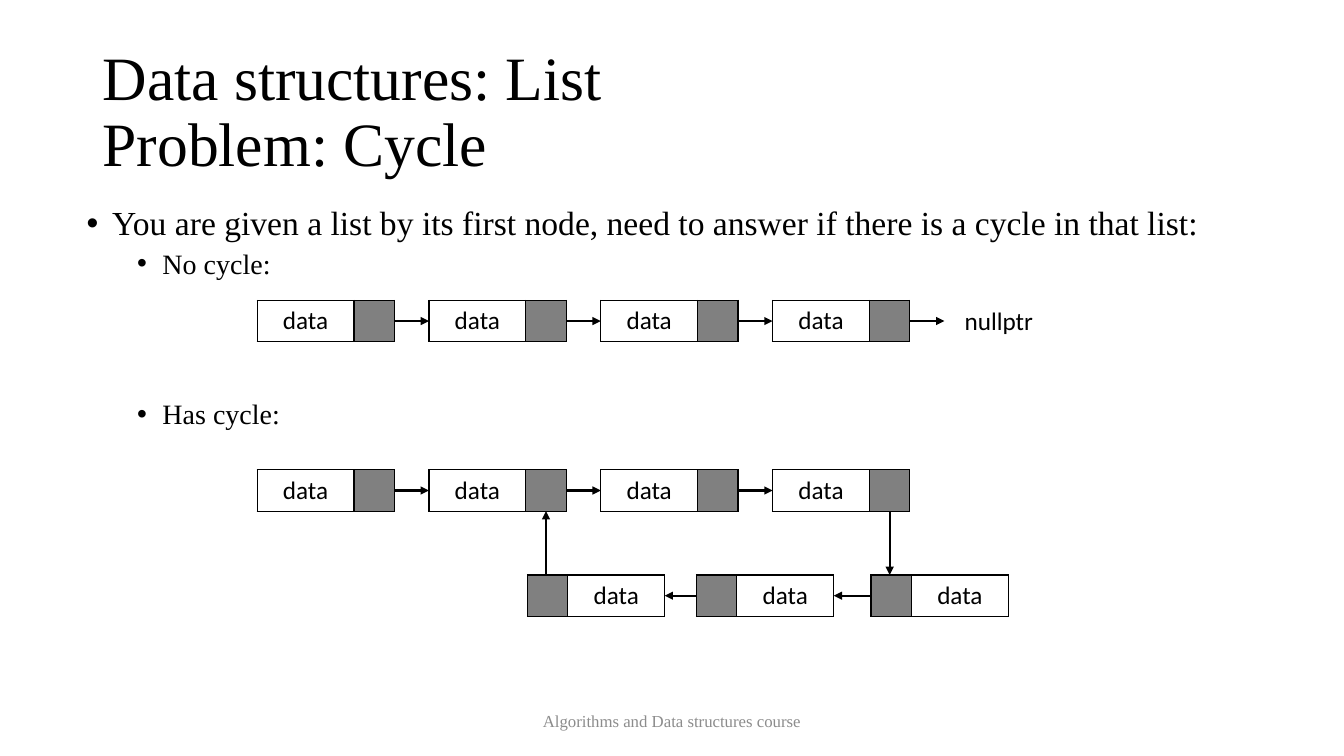
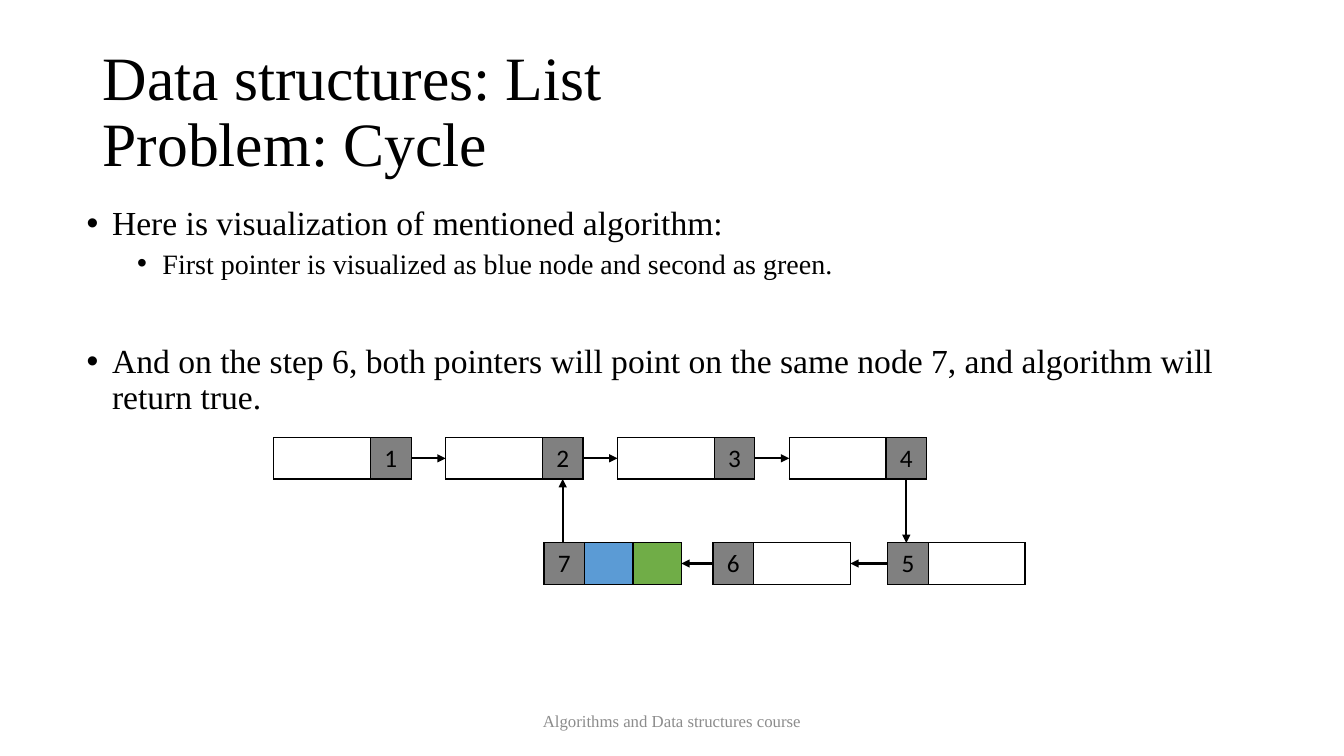
from pptx import Presentation
from pptx import util as u
from pptx.dml.color import RGBColor
from pptx.enum import shapes, text
from pptx.oxml.ns import qn
from lxml import etree

BLACK, WHITE, GRAY, FOOTER_GRAY = "000000", "FFFFFF", "808080", "8C8C8C"
BLUE, GREEN = "5B9BD5", "70AD47"
SERIF, SANS = "Times New Roman", "Calibri"

TITLE = "Data structures: List\vProblem: Cycle"
FOOTER = "Algorithms and Data structures course"
TITLE_BOX = (2.33, 1.02, 29.21, 3.68)
BODY_BOX = (1.93, 5.08, 29.62, 12.09)
FOOTER_BOX = (11.22, 17.66, 11.43, 1.01)
LEVELS = [(24, 0.64), (20, 1.91)]
BULLET_HANG = 0.64

DATA_W, POINTER_W, NODE_H = 2.44, 1.02, 1.04
NODE_W = DATA_W + POINTER_W
NODE_PITCH = 4.33
LOOP_OFFSETS = [15.47, 11.07, 6.81]
LOOP_DROP = 2.65
LOOP_TARGET = 1

DATA = ("data", WHITE, DATA_W)
EMPTY = ("", WHITE, DATA_W)
POINTER = ("", GRAY, POINTER_W)
NUMBERS = [(str(n), GRAY, POINTER_W) for n in range(1, 8)]
MEETING = [NUMBERS[6], ("", BLUE, DATA_W / 2), ("", GREEN, DATA_W / 2)]

SLIDES = [
    {
        "body": [
            (0, 0, "You are given a list by its first node, need to answer if there is a cycle in that list:"),
            (1, 5, "No cycle:"),
            (1, 86, "Has cycle:"),
        ],
        "lists": [
            {"at": (6.48, 7.57), "head": [[DATA, POINTER]] * 4, "loop": [], "end": "nullptr"},
            {"at": (6.48, 11.84), "head": [[DATA, POINTER]] * 4, "loop": [[POINTER, DATA]] * 3},
        ],
    },
    {
        "body": [
            (0, 0, "Here is visualization of mentioned algorithm:"),
            (1, 5, "First pointer is visualized as blue node and second as green."),
            (0, 46, "And on the step 6, both pointers will point on the same node 7, and algorithm will return true."),
        ],
        "lists": [
            {
                "at": (6.9, 11.03),
                "head": [[EMPTY, number] for number in NUMBERS[:4]],
                "loop": [[number, EMPTY] for number in NUMBERS[4:6]] + [MEETING],
            },
        ],
    },
]


def colour(value):
    return RGBColor.from_string(value)


def cm(*lengths):
    return [u.Cm(length) for length in lengths]


def place(part, box):
    part.left, part.top, part.width, part.height = cm(*box)


def style(paragraph, size, face, ink=BLACK):
    paragraph.font.size = u.Pt(size)
    paragraph.font.name = face
    paragraph.font.color.rgb = colour(ink)


def add_bullet(paragraph, indent):
    props = paragraph._p.get_or_add_pPr()
    props.set("marL", str(u.Cm(indent)))
    props.set("indent", str(-u.Cm(BULLET_HANG)))
    etree.SubElement(props, qn("a:buFont")).set("typeface", "Arial")
    etree.SubElement(props, qn("a:buChar")).set("char", "•")


def add_arrow(slide, start, end):
    arrow = slide.shapes.add_connector(shapes.MSO_CONNECTOR.STRAIGHT, *cm(*start, *end))
    arrow.line.color.rgb = colour(BLACK)
    arrow.line.width = u.Pt(1.5)
    etree.SubElement(arrow.line._get_or_add_ln(), qn("a:tailEnd")).set("type", "triangle")
    etree.SubElement(arrow._element.spPr, qn("a:effectLst"))


def add_borders(cell):
    props = cell._tc.get_or_add_tcPr()
    for position, side in enumerate(("lnL", "lnR", "lnT", "lnB")):
        border = etree.Element(qn("a:" + side), w=str(u.Pt(1)))
        fill = etree.SubElement(border, qn("a:solidFill"))
        etree.SubElement(fill, qn("a:srgbClr")).set("val", BLACK)
        props.insert(position, border)


def add_node(slide, left, top, fields):
    node = slide.shapes.add_table(1, len(fields), *cm(left, top, NODE_W, NODE_H)).table
    node.first_row = node.horz_banding = False
    for column, (label, fill, width) in enumerate(fields):
        node.columns[column].width = u.Cm(width)
        cell = node.cell(0, column)
        cell.fill.solid()
        cell.fill.fore_color.rgb = colour(fill)
        cell.vertical_anchor = text.MSO_ANCHOR.MIDDLE
        add_borders(cell)
        paragraph = cell.text_frame.paragraphs[0]
        paragraph.text = label
        paragraph.alignment = text.PP_ALIGN.CENTER
        style(paragraph, 18, SANS)


def add_label(slide, box, words, size, face, ink=BLACK, wrap=True):
    frame = slide.shapes.add_textbox(*cm(*box)).text_frame
    frame.word_wrap = wrap
    paragraph = frame.paragraphs[0]
    paragraph.text = words
    style(paragraph, size, face, ink)
    return frame


def add_list(slide, at, head, loop, end=None):
    left, top = at
    middle = top + NODE_H / 2
    heads = [left + i * NODE_PITCH for i in range(len(head))]
    pointers = [x + DATA_W + POINTER_W / 2 for x in heads]
    for x, pointer in zip(heads if end else heads[:-1], pointers):
        add_arrow(slide, (pointer, middle), (x + NODE_PITCH, middle))

    loops = [left + offset for offset in LOOP_OFFSETS[:len(loop)]]
    loop_top = top + LOOP_DROP
    loop_middle = loop_top + NODE_H / 2
    for x, following in zip(loops, loops[1:]):
        add_arrow(slide, (x + POINTER_W / 2, loop_middle), (following + NODE_W, loop_middle))
    if loop:
        add_arrow(slide, (pointers[-1], middle), (pointers[-1], loop_top))
        back = pointers[LOOP_TARGET]
        add_arrow(slide, (back, loop_middle), (back, top + NODE_H))

    for x, fields in zip(heads, head):
        add_node(slide, x, top, fields)
    for x, fields in zip(loops, loop):
        add_node(slide, x, loop_top, fields)
    if end:
        end_left = heads[-1] + NODE_PITCH + 0.26
        add_label(slide, (end_left, top, 2.24, 1.02), end, 18, SANS, wrap=False)


def fill_title(title):
    frame = title.text_frame
    frame.auto_size = text.MSO_AUTO_SIZE.NONE
    frame.vertical_anchor = text.MSO_ANCHOR.MIDDLE
    paragraph = frame.paragraphs[0]
    paragraph.text = TITLE
    paragraph.alignment = text.PP_ALIGN.LEFT
    paragraph.line_spacing = 0.9
    style(paragraph, 44, SERIF)


def fill_body(body, items):
    frame = body.text_frame
    frame.auto_size = text.MSO_AUTO_SIZE.NONE
    for i, (level, gap, words) in enumerate(items):
        paragraph = frame.add_paragraph() if i else frame.paragraphs[0]
        size, indent = LEVELS[level]
        paragraph.text = words
        paragraph.level = level
        add_bullet(paragraph, indent)
        paragraph.line_spacing = 0.9
        paragraph.space_before = u.Pt(gap)
        style(paragraph, size, SERIF)


def add_footer(slide):
    frame = add_label(slide, FOOTER_BOX, FOOTER, 12, SERIF, FOOTER_GRAY)
    frame.vertical_anchor = text.MSO_ANCHOR.MIDDLE
    frame.paragraphs[0].alignment = text.PP_ALIGN.CENTER


def main():
    deck = Presentation()
    deck.slide_width, deck.slide_height = cm(33.87, 19.05)
    layout = deck.slide_layouts[1]
    place(layout.placeholders[0], TITLE_BOX)
    place(layout.placeholders[1], BODY_BOX)
    for content in SLIDES:
        slide = deck.slides.add_slide(layout)
        fill_title(slide.shapes.title)
        fill_body(slide.placeholders[1], content["body"])
        add_footer(slide)
        for chain in content["lists"]:
            add_list(slide, **chain)
    deck.save("out.pptx")


if __name__ == "__main__":
    main()
